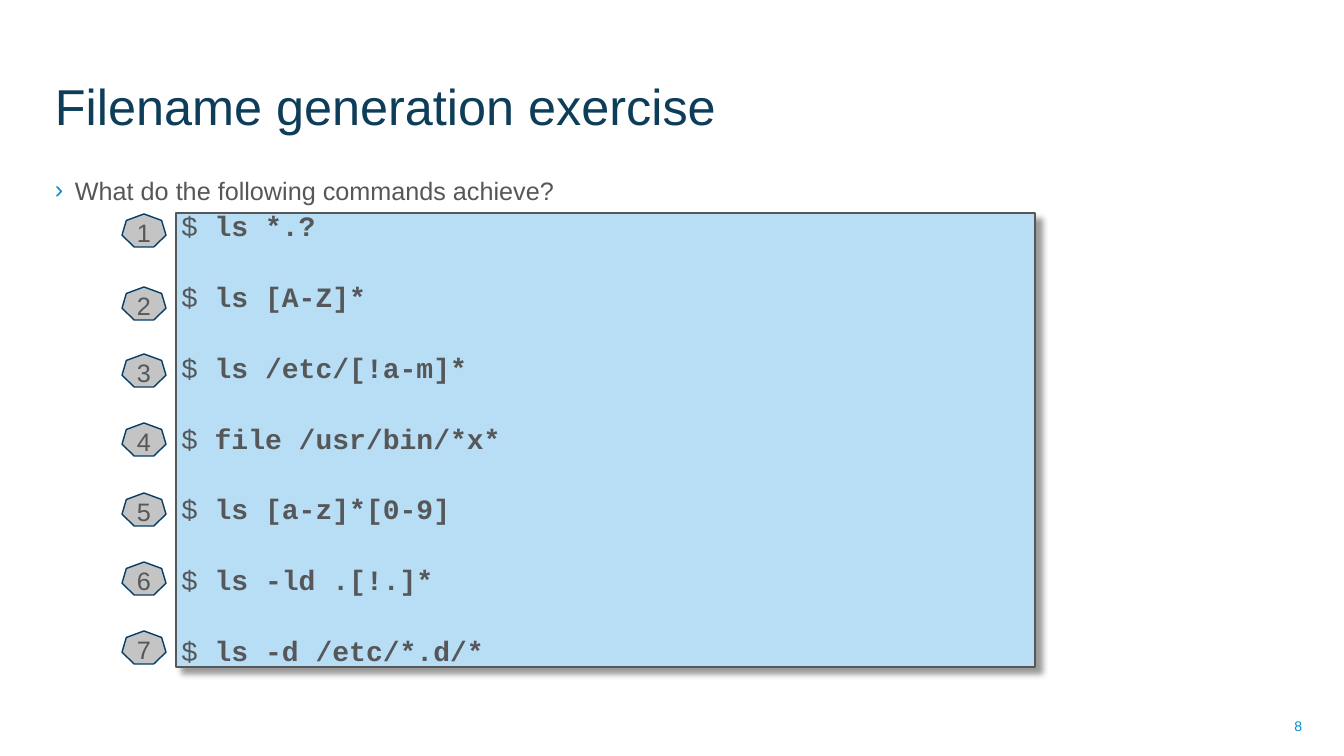
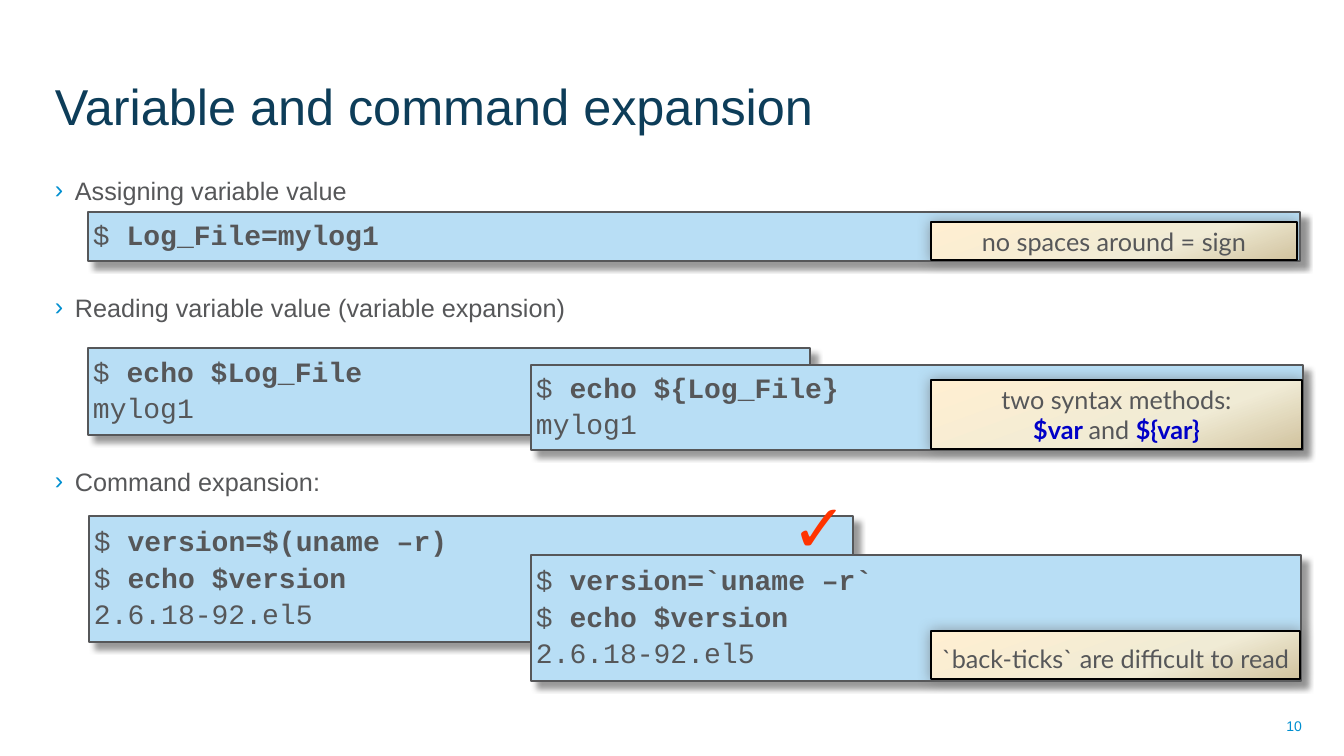
import pptx
import pptx.util
import pptx.dml.color
import pptx.enum.shapes
import pptx.enum.text
import pptx.oxml
import pptx.oxml.ns

PIXEL = 914400 / 100.8
SHAPE = pptx.enum.shapes.MSO_SHAPE
ANCHOR = pptx.enum.text.MSO_ANCHOR
ALIGN = pptx.enum.text.PP_ALIGN
NAMESPACE = pptx.oxml.ns.nsdecls("a")

# Colours
GREY, NAVY, CYAN, BLUE, RED = "565759", "0D3D59", "008FD0", "0000C8", "FF3300"
PANEL, BADGE, BADGE_LINE, BLACK = "B8DEF5", "C4C4C4", "073C65", "000000"

# Shared XML parts: note gradient, shadows, bullet
NOTE_STOPS = [(0, "FFEFD1"), (65, "F0EBD5"), (100, "D1C39F")]
NOTE_GRADIENT = (
    f'<a:gradFill {NAMESPACE} rotWithShape="1"><a:gsLst>'
    + "".join(f'<a:gs pos="{position * 1000}"><a:srgbClr val="{value}"/></a:gs>'
              for position, value in NOTE_STOPS)
    + '</a:gsLst><a:lin ang="4200000" scaled="0"/></a:gradFill>')
SHADOW = (
    f'<a:outerShdw {NAMESPACE} blurRad="%d" dist="%d" dir="%d" algn="tl" rotWithShape="0">'
    '<a:srgbClr val="%s"><a:alpha val="%d"/></a:srgbClr></a:outerShdw>')
BULLET = [
    f'<a:buClr {NAMESPACE}><a:srgbClr val="{CYAN}"/></a:buClr>',
    f'<a:buFont {NAMESPACE} typeface="Arial"/>',
    f'<a:buChar {NAMESPACE} char="›"/>']

# Styles: margins are left, top, right, bottom in pixels
STYLES = {
    "title": dict(font=dict(size=36, name="Arial", color=NAVY),
                  frame=dict(vertical_anchor=ANCHOR.BOTTOM)),
    "number": dict(font=dict(size=10, name="Arial", color=CYAN),
                   frame=dict(vertical_anchor=ANCHOR.MIDDLE),
                   paragraph=dict(alignment=ALIGN.RIGHT)),
    "bullet": dict(font=dict(size=18, name="Arial", color=GREY), bullet=True),
    "check": dict(font=dict(size=48, name="Arial", color=RED),
                  frame=dict(word_wrap=False)),
    "terminal": dict(kind=SHAPE.RECTANGLE, fill=PANEL, line=GREY,
                     shadow=(50800, 76200, 2700000, BLACK, 40000),
                     margins=(5, 2, 5, 2), gap=4.25,
                     font=dict(size=20, name="Courier New", color=GREY),
                     frame=dict(vertical_anchor=ANCHOR.MIDDLE),
                     paragraph=dict(alignment=ALIGN.LEFT, line_spacing=0.9)),
    "badge": dict(kind=SHAPE.HEPTAGON, fill=BADGE, line=BADGE_LINE,
                  margins=(10, 8, 10, 5),
                  font=dict(size=18, name="Arial", color=GREY),
                  frame=dict(vertical_anchor=ANCHOR.MIDDLE),
                  paragraph=dict(alignment=ALIGN.CENTER)),
    "note": dict(kind=SHAPE.RECTANGLE, gradient=NOTE_GRADIENT, line=BLACK,
                 shadow=(127000, 0, 0, "6D6D6D", 65000), margins=(10, 4, 10, 4),
                 font=dict(size=18, name="Lato", color=GREY),
                 frame=dict(word_wrap=False),
                 paragraph=dict(alignment=ALIGN.CENTER)),
}


def colour(value):
    return pptx.dml.color.RGBColor.from_string(value)


def add_box(slide, style_name, box, lines, **changes):
    """Each line is a list of runs; a run is (text, font changes)."""
    style = {**STYLES[style_name], **changes}
    place = [round(length * PIXEL) for length in box]
    if "kind" in style:
        shape = slide.shapes.add_shape(style["kind"], *place)
        shape.shadow.inherit = False
        shape.line.color.rgb = colour(style["line"])
        shape.line.width = pptx.util.Pt(1)
        properties = shape._element.spPr
        if "fill" in style:
            shape.fill.solid()
            shape.fill.fore_color.rgb = colour(style["fill"])
        else:
            properties.insert(2, pptx.oxml.parse_xml(style["gradient"]))
        if "shadow" in style:
            effects = properties.find(pptx.oxml.ns.qn("a:effectLst"))
            effects.append(pptx.oxml.parse_xml(SHADOW % style["shadow"]))
    else:
        shape = slide.shapes.add_textbox(*place)

    frame = shape.text_frame
    settings = dict(word_wrap=True, vertical_anchor=ANCHOR.TOP)
    for side, margin in zip(("left", "top", "right", "bottom"),
                            style.get("margins", (10, 5, 10, 5))):
        settings["margin_" + side] = round(margin * PIXEL)
    for name, value in {**settings, **style.get("frame", {})}.items():
        setattr(frame, name, value)

    for index, runs in enumerate(lines):
        paragraph = frame.add_paragraph() if index else frame.paragraphs[0]
        for name, value in style.get("paragraph", {}).items():
            setattr(paragraph, name, value)
        if index and "gap" in style:
            paragraph.space_before = pptx.util.Pt(style["gap"])
        if "bullet" in style:
            details = paragraph._element.get_or_add_pPr()
            details.set("marL", str(round(20 * PIXEL)))
            details.set("indent", str(round(-20 * PIXEL)))
            for part in BULLET:
                details.append(pptx.oxml.parse_xml(part))
        for text, font_changes in runs:
            run = paragraph.add_run()
            run.text = text
            for name, value in {**style["font"], **font_changes}.items():
                if name == "color":
                    run.font.color.rgb = colour(value)
                else:
                    setattr(run.font, name, pptx.util.Pt(value) if name == "size" else value)


presentation = pptx.Presentation()
presentation.slide_width = round(1344 * PIXEL)
presentation.slide_height = round(756 * PIXEL)

BOLD = dict(bold=True)
KEYWORD = dict(bold=True, color=BLUE)

# Slide content: bullets by top, terminals as box, gap and lines
exercise = dict(
    number="8", title="Filename generation exercise",
    bullets=[(170, "What do the following commands achieve?")],
    terminals=[((176, 213, 859, 454), 28.9,
                ["$ ls *.?", "$ ls [A-Z]*", "$ ls /etc/[!a-m]*", "$ file /usr/bin/*x*",
                 "$ ls [a-z]*[0-9]", "$ ls -ld .[!.]*", "$ ls -d /etc/*.d/*"])],
    badge_tops=[214, 287, 354, 423, 493, 562, 631], checks=[], notes=[])
expansion = dict(
    number="10", title="Variable and command expansion",
    bullets=[(170, "Assigning variable value"),
             (287, "Reading variable value (variable expansion)"),
             (461, "Command expansion:")],
    terminals=[
        ((88, 212, 1212, 49), 4.25, ["$ Log_File=mylog1"]),
        ((88, 348, 722, 87), 4.25, ["$ echo $Log_File", "mylog1"]),
        ((531, 365, 772, 85), 4.25, ["$ echo ${Log_File}", "mylog1"]),
        ((89, 516, 764, 126), 4.25,
         ["$ version=$(uname –r)", "$ echo $version", "2.6.18-92.el5"]),
        ((531, 555, 770, 126), 4.25,
         ["$ version=`uname –r`", "$ echo $version", "2.6.18-92.el5"])],
    badge_tops=[], checks=[(782, 480, 50, 91)],
    notes=[
        ((931, 222, 366, 38), 4, [[("no spaces around = sign", {})]]),
        ((931, 380, 371, 69), 4,
         [[("two syntax methods:", {})],
          [("$var ", KEYWORD), ("and ", {}), ("${var}", KEYWORD)]]),
        ((931, 631, 369, 48), 12, [[("`back-ticks` are difficult to read", {})]])])

for content in (exercise, expansion):
    slide = presentation.slides.add_slide(presentation.slide_layouts[6])

    # Page number, title and bullets
    add_box(slide, "number", (999, 706, 313, 40), [[(content["number"], {})]])
    add_box(slide, "title", (45, 14, 1006, 127), [[(content["title"], {})]])
    for top, text in content["bullets"]:
        add_box(slide, "bullet", (45, top, 1257, 39), [[(text, {})]])

    # Terminals: plain prompt, bold command, plain output
    for box, gap, lines in content["terminals"]:
        add_box(slide, "terminal", box,
                [[("$ ", {}), (line[2:], BOLD)] if line.startswith("$ ") else [(line, {})]
                 for line in lines], gap=gap)

    # Numbered badges, check mark and notes
    for number, top in enumerate(content["badge_tops"], 1):
        add_box(slide, "badge", (122, top, 44, 33), [[(str(number), {})]])
    for box in content["checks"]:
        add_box(slide, "check", box, [[("✓", {})]])
    for box, top_margin, lines in content["notes"]:
        add_box(slide, "note", box, lines, margins=(10, top_margin, 10, 4))

presentation.save("out.pptx")
